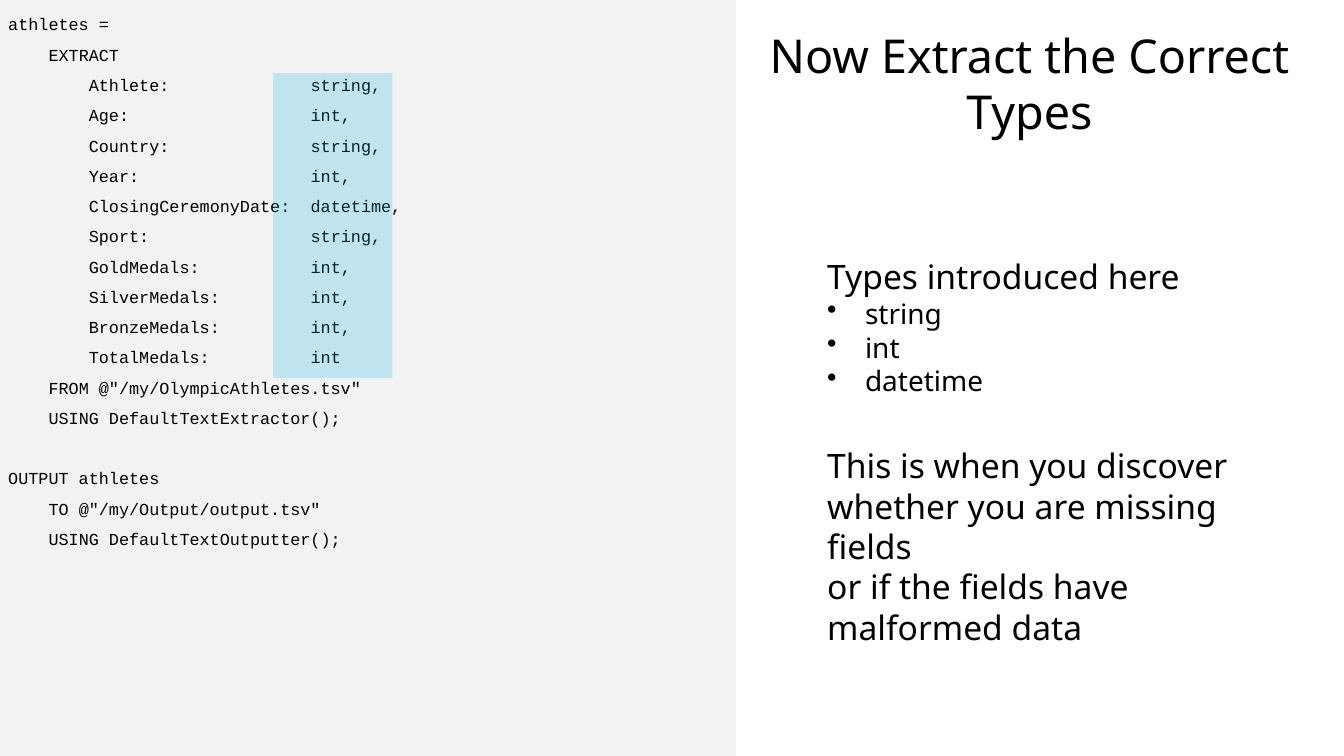
from dataclasses import dataclass
from typing import NamedTuple

from lxml.etree import SubElement
from pptx import Presentation
from pptx.dml.color import RGBColor
from pptx.enum.shapes import MSO_SHAPE
from pptx.enum.text import MSO_ANCHOR, PP_ALIGN
from pptx.oxml.ns import qn
from pptx.util import Inches, Pt


@dataclass(frozen=True)
class Theme:
    text: RGBColor = RGBColor(0x00, 0x00, 0x00)
    code_panel: RGBColor = RGBColor(0xF2, 0xF2, 0xF2)
    highlight: RGBColor = RGBColor(0x00, 0xB0, 0xF0)
    highlight_opacity: int = 20
    body_font: str = "Noto Sans"
    code_font: str = "Courier New"
    title_size: float = 40
    body_size: float = 28.8
    bullet_size: float = 24
    code_size: float = 14.4
    code_line_height: float = 25.9


class Box(NamedTuple):
    left: float
    top: float
    width: float
    height: float

    def lengths(self):
        return [Inches(side) for side in self]


class Line(NamedTuple):
    text: str
    size: float
    bulleted: bool = False


class Field(NamedTuple):
    name: str
    type: str


THEME = Theme()
BULLET_INDENT = Inches(0.45)
# Two indent levels, then the column of types
CODE_TAB_STOPS = [Inches(0.48), Inches(0.96), Inches(3.6)]

FIELDS = [
    Field("Athlete", "string"),
    Field("Age", "int"),
    Field("Country", "string"),
    Field("Year", "int"),
    Field("ClosingCeremonyDate", "datetime"),
    Field("Sport", "string"),
    Field("GoldMedals", "int"),
    Field("SilverMedals", "int"),
    Field("BronzeMedals", "int"),
    Field("TotalMedals", "int"),
]
EXTRACT_STATEMENT = [
    "athletes =",
    "\tEXTRACT",
    *(f"\t\t{field.name}:\t{field.type}," for field in FIELDS[:-1]),
    f"\t\t{FIELDS[-1].name}:\t{FIELDS[-1].type}",
    '\tFROM @"/my/OlympicAthletes.tsv"',
    "\tUSING DefaultTextExtractor();",
]
OUTPUT_STATEMENT = [
    "OUTPUT athletes",
    '\tTO @"/my/Output/output.tsv"',
    "\tUSING DefaultTextOutputter();",
]


def style_runs(paragraph, font_name: str, size: float) -> None:
    for run in paragraph.runs:
        run.font.name = font_name
        run.font.size = Pt(size)
        run.font.color.rgb = THEME.text


def add_bullet(paragraph) -> None:
    properties = paragraph._p.get_or_add_pPr()
    properties.set("marL", str(BULLET_INDENT))
    properties.set("indent", str(-BULLET_INDENT))
    SubElement(properties, qn("a:buChar")).set("char", "•")


def add_tab_stops(paragraph) -> None:
    stops = SubElement(paragraph._p.get_or_add_pPr(), qn("a:tabLst"))
    for position in CODE_TAB_STOPS:
        stop = SubElement(stops, qn("a:tab"))
        stop.set("pos", str(position))
        stop.set("algn", "l")


def add_text(slide, box: Box, lines: list[Line], alignment=PP_ALIGN.LEFT) -> None:
    frame = slide.shapes.add_textbox(*box.lengths()).text_frame
    frame.word_wrap = True
    frame.vertical_anchor = MSO_ANCHOR.MIDDLE
    frame.text = "\n".join(line.text for line in lines)
    for paragraph, line in zip(frame.paragraphs, lines):
        paragraph.alignment = alignment
        style_runs(paragraph, THEME.body_font, line.size)
        if line.bulleted:
            add_bullet(paragraph)


def add_panel(slide, box: Box, color: RGBColor):
    panel = slide.shapes.add_shape(MSO_SHAPE.RECTANGLE, *box.lengths())
    panel.shadow.inherit = False
    panel.fill.solid()
    panel.fill.fore_color.rgb = color
    panel.line.fill.background()
    return panel


def add_code(slide, box: Box) -> None:
    frame = add_panel(slide, box, THEME.code_panel).text_frame
    frame.word_wrap = True
    frame.vertical_anchor = MSO_ANCHOR.TOP
    frame.text = "\n".join(EXTRACT_STATEMENT + OUTPUT_STATEMENT)
    for paragraph in frame.paragraphs:
        paragraph.alignment = PP_ALIGN.LEFT
        paragraph.line_spacing = 1.5
        if paragraph.text == OUTPUT_STATEMENT[0]:
            paragraph.space_before = Pt(THEME.code_line_height)
        add_tab_stops(paragraph)
        style_runs(paragraph, THEME.code_font, THEME.code_size)


def add_highlight(slide, box: Box) -> None:
    highlight = add_panel(slide, box, THEME.highlight)
    color = highlight._element.spPr.find(qn("a:solidFill"))[0]
    SubElement(color, qn("a:alpha")).set("val", str(THEME.highlight_opacity * 1000))


presentation = Presentation()
presentation.slide_width = Inches(16)
presentation.slide_height = Inches(9)
slide = presentation.slides.add_slide(presentation.slide_layouts[6])

# Title
add_text(
    slide,
    Box(8.76, 0.24, 6.99, 1.49),
    [Line("Now Extract the Correct Types", THEME.title_size)],
    PP_ALIGN.CENTER,
)

# Types used by the script
add_text(
    slide,
    Box(9.75, 3, 5.83, 1.78),
    [Line("Types introduced here", THEME.body_size)]
    + [Line(name, THEME.bullet_size, True) for name in ("string", "int", "datetime")],
)

# Script
add_code(slide, Box(0, 0, 8.76, 9))

# Remark on data quality
add_text(
    slide,
    Box(9.75, 5.61, 5.83, 1.78),
    [
        Line("This is when you discover whether you are missing fields", THEME.body_size),
        Line("or if the fields have malformed data", THEME.body_size),
    ],
)

# Highlight over the column of types
add_highlight(slide, Box(3.25, 0.87, 1.42, 3.63))

presentation.save("out.pptx")
